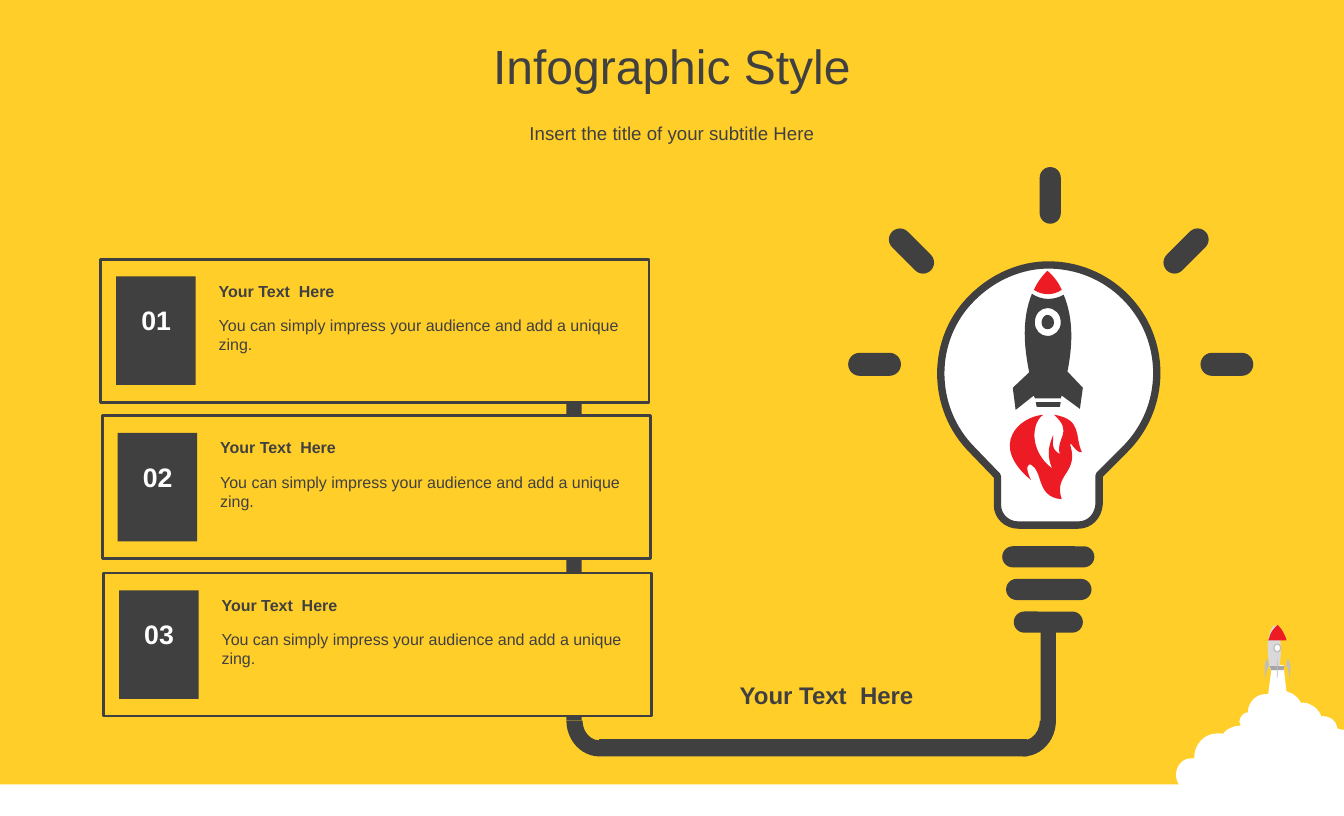
from pptx import Presentation
from pptx.dml.color import RGBColor
from pptx.enum import shapes as kinds, text as styles
from pptx.oxml import ns
from pptx.util import Inches, Pt

COLORS = {"yellow": "FFCE29", "dark": "404040", "white": "FFFFFF", "red": "ED1C24",
          "hull": "D9D9D9", "base": "A6A6A6", "fin": "BFBFBF"}
KIND = kinds.MSO_SHAPE

# Outlines: M, L, C and Z steps in hundredths of an inch from the region's corner
BULB = """M 192 106 C 221 106 250 117 272 139 C 316 183 316 254 272 298 L 245 325 L 245 355
C 244 368 235 377 223 377 L 161 377 C 149 377 139 368 139 356 L 139 326 L 113 299
C 69 255 69 183 113 140 C 135 118 164 106 192 106 Z"""
BULB_ROCKET = [
    ("dark", """M 179 249 L 205 249 C 204 251 204 252 204 254 L 180 254 Z
M 191 158 C 195 158 198 162 198 166 C 198 170 195 173 191 173
C 188 173 185 170 185 166 C 185 162 188 158 191 158 Z
M 191 151 C 184 151 178 157 178 166 C 178 174 184 180 191 180
C 199 180 205 174 205 166 C 205 157 199 151 191 151 Z
M 175 136 C 185 143 198 143 208 137 C 219 163 217 192 212 217 L 228 234 L 225 256
L 206 242 L 205 245 L 178 245 C 178 244 178 243 177 242 L 158 257 L 155 234 L 172 218
L 172 217 C 167 192 164 163 175 136 Z"""),
    ("red", """M 191 112 C 198 118 203 125 206 132 C 197 138 186 138 177 132
C 180 125 185 118 191 112 Z"""),
    ("red", """M 187 262 C 175 269 171 299 196 318 C 189 301 194 292 197 283
C 198 288 193 297 204 303 C 199 286 219 281 198 262 C 228 267 219 284 227 301
C 221 303 214 287 215 294 C 224 323 197 324 206 350 C 179 348 187 321 174 314
C 171 313 167 316 174 330 C 130 294 161 264 187 262 Z"""),
]
CLOUD = """M 100 43 L 112 43 L 115 70 L 117 71 C 122 72 126 76 129 80 L 130 82 L 132 82
C 140 82 147 87 151 95 L 151 97 L 152 96 C 161 96 167 101 168 108 L 168 109 L 172 110
L 175 110 L 175 195 L 171 195 C 166 195 160 194 156 190 L 155 189 L 153 191
C 151 193 148 194 144 194 C 140 194 136 192 133 189 L 132 187 L 131 187
C 129 192 124 195 119 195 C 114 195 110 193 108 190 L 106 188 L 103 190
C 97 195 91 197 83 197 C 66 197 59 189 53 182 C 50 185 45 187 40 186
C 35 184 26 180 25 172 L 24 171 C 22 173 19 174 15 174 C 7 174 0 166 0 157
C 0 148 7 140 15 140 C 16 140 18 140 19 140 L 19 139 C 19 125 30 114 43 114
C 44 114 46 114 48 114 L 49 115 L 50 113 C 54 109 60 106 66 106 L 67 106 L 67 104
C 67 104 66 103 66 102 C 66 97 70 93 74 92 L 75 92 L 75 89 C 77 80 84 73 94 73
L 96 73 Z"""
LAUNCH_HULL = [
    ("white", CLOUD),
    ("hull", "M 98 48 C 96 34 92 15 102 1 C 113 16 109 36 107 48 Z"),
    ("base", "M 98 44 L 113 44 L 112 48 L 99 48 Z"),
    ("red", "M 106 1 C 111 6 113 11 115 16 L 115 17 L 96 17 L 97 15 C 98 10 101 5 106 1 Z"),
]
LAUNCH_FINS = [
    ("fin", "M 95 36 L 97 43 C 94 47 94 54 93 57 C 93 53 91 41 95 36 Z"),
    ("fin", "M 116 36 L 115 43 C 118 47 118 54 118 57 C 119 53 121 41 116 36 Z"),
]


def rgb(name):
    return RGBColor.from_string(COLORS[name])


def paint(shape, fill, line=None, weight=1):
    shape.shadow.inherit = False
    shape.fill.solid()
    shape.fill.fore_color.rgb = rgb(fill)
    if line:
        shape.line.color.rgb = rgb(line)
        shape.line.width = Pt(weight)
    else:
        shape.line.fill.background()
    return shape


def add_block(slide, kind, left, top, width, height, fill="dark", line=None, weight=1):
    shape = slide.shapes.add_shape(kind, Inches(left), Inches(top),
                                   Inches(width), Inches(height))
    return paint(shape, fill, line, weight)


def add_pill(slide, left, top, width, height, rotation=0):
    pill = add_block(slide, KIND.ROUNDED_RECTANGLE, left, top, width, height)
    pill.adjustments[0] = 0.5
    pill.rotation = rotation


def bend_segments(freeform, commands):
    """Turn the three line steps laid down for each C command into one cubic curve."""
    steps = iter(list(freeform._element.iter(ns.qn("a:lnTo"))))
    for command in commands:
        curve = next(steps)
        if command == "C":
            curve.tag = ns.qn("a:cubicBezTo")
            for handle in (next(steps), next(steps)):
                curve.append(handle[0])
                handle.getparent().remove(handle)


def add_outline(slide, left, top, outline, fill, line=None, weight=1):
    builder, commands = None, []
    for contour in outline.split("Z")[:-1]:
        steps = contour.split()
        commands += [step for step in steps if step in "LC"]
        numbers = [int(step) / 100 for step in steps if step.isdigit()]
        start, *points = [(Inches(left + x), Inches(top + y))
                          for x, y in zip(numbers[::2], numbers[1::2])]
        if builder is None:
            builder = slide.shapes.build_freeform(*start)
        else:
            builder.move_to(*start)
        builder.add_line_segments(points, close=True)
    freeform = builder.convert_to_shape()
    bend_segments(freeform, commands)
    paint(freeform, fill, line, weight)


def add_text(slide, left, top, width, height, words, size, color="dark", bold=False,
             align=styles.PP_ALIGN.LEFT, anchor=styles.MSO_ANCHOR.TOP, wrap=True):
    frame = slide.shapes.add_textbox(Inches(left), Inches(top),
                                     Inches(width), Inches(height)).text_frame
    frame.word_wrap = wrap
    frame.vertical_anchor = anchor
    paragraph = frame.paragraphs[0]
    paragraph.text = words
    paragraph.alignment = align
    font = paragraph.font
    font.name, font.size, font.bold = "Arial", Pt(size), bold
    font.color.rgb = rgb(color)


def add_launch(slide, left, top):
    """Small rocket rising from a cloud."""
    for fill, outline in LAUNCH_HULL:
        add_outline(slide, left, top, outline, fill)
    add_block(slide, KIND.OVAL, left + 1.02, top + 0.21, 0.07, 0.08, "white", "fin")
    add_block(slide, KIND.RECTANGLE, left + 1.05, top + 0.37, 0.01, 0.19, "fin")
    for fill, outline in LAUNCH_FINS:
        add_outline(slide, left, top, outline, fill)


def add_heading(slide, left, top, width):
    for offset, height, words, size in ((0, 0.95, "Infographic Style", 36),
                                        (0.95, 0.47, "Insert the title of your subtitle Here", 14)):
        add_text(slide, left, top + offset, width, height, words, size,
                 align=styles.PP_ALIGN.CENTER, anchor=styles.MSO_ANCHOR.MIDDLE)


def add_cable(slide, left, top):
    """Cable from behind the cards round to the foot of the bulb."""
    for x, y, width, height in ((0, 0, 0.16, 4.58), (0.34, 4.78, 4.46, 0.18),
                                (4.94, 3.66, 0.16, 0.95)):
        add_block(slide, KIND.RECTANGLE, left + x, top + y, width, height)
    for x, y, width, height, rotation in ((0, 4.21, 0.69, 0.75, 0),
                                          (4.38, 4.24, 0.75, 0.69, 270)):
        bend = add_block(slide, KIND.BLOCK_ARC, left + x, top + y, width, height)
        bend.rotation = rotation
        for index, value in enumerate((54.318, 108.171, 0.243)):
            bend.adjustments[index] = value


def add_card(slide, left, top, number):
    add_block(slide, KIND.RECTANGLE, left, top, 5.71, 1.49, "yellow", "dark", 2)
    add_block(slide, KIND.RECTANGLE, left + 0.16, top + 0.18, 0.83, 1.13)
    add_text(slide, left + 1.13, top + 0.54, 4.41, 0.5,
             "You can simply impress your audience and add a unique zing.", 12)
    add_text(slide, left + 1.13, top + 0.18, 4.41, 0.3, "Your Text  Here", 12, bold=True)
    add_text(slide, left + 0.32, top + 0.42, 0.51, 0.43, f"{number:02}", 20, "white", True,
             styles.PP_ALIGN.RIGHT, wrap=False)


def add_bulb(slide, left, top):
    add_outline(slide, left, top, BULB, "white", "dark", 5.5)
    for row, (x, width) in enumerate(((1.44, 0.96), (1.48, 0.89), (1.56, 0.72))):
        add_pill(slide, left + x, top + 3.99 + 0.34 * row, width, 0.22)
    rays = ((3.24, 0.63, 0.23, 0.57, 45), (0.38, 0.63, 0.23, 0.57, 315),
            (1.83, 0.04, 0.22, 0.59, 0), (3.66, 1.82, 0.24, 0.55, 90),
            (-0.01, 1.82, 0.24, 0.55, 270))
    for x, y, width, height, rotation in rays:
        add_pill(slide, left + x, top + y, width, height, rotation)


def main():
    deck = Presentation()
    deck.slide_width, deck.slide_height = Inches(14), Inches(8.5)
    slide = deck.slides.add_slide(deck.slide_layouts[6])
    slide.background.fill.solid()
    slide.background.fill.fore_color.rgb = rgb("yellow")

    add_block(slide, KIND.RECTANGLE, 0, 8.17, 14, 0.33, "white")
    add_launch(slide, 12.25, 6.5)
    add_heading(slide, 0, 0.2, 14)
    add_cable(slide, 5.9, 2.92)
    for row, top in enumerate((2.7, 4.33, 5.97)):
        add_card(slide, 1.05 + 0.03 * row / 2, top, row + 1)
    add_bulb(slide, 9, 1.7)
    add_text(slide, 7, 7.04, 3.22, 0.4, "Your Text  Here", 18, bold=True,
             align=styles.PP_ALIGN.CENTER)
    for fill, outline in BULB_ROCKET:
        add_outline(slide, 9, 1.7, outline, fill)
    deck.save("out.pptx")


if __name__ == "__main__":
    main()
